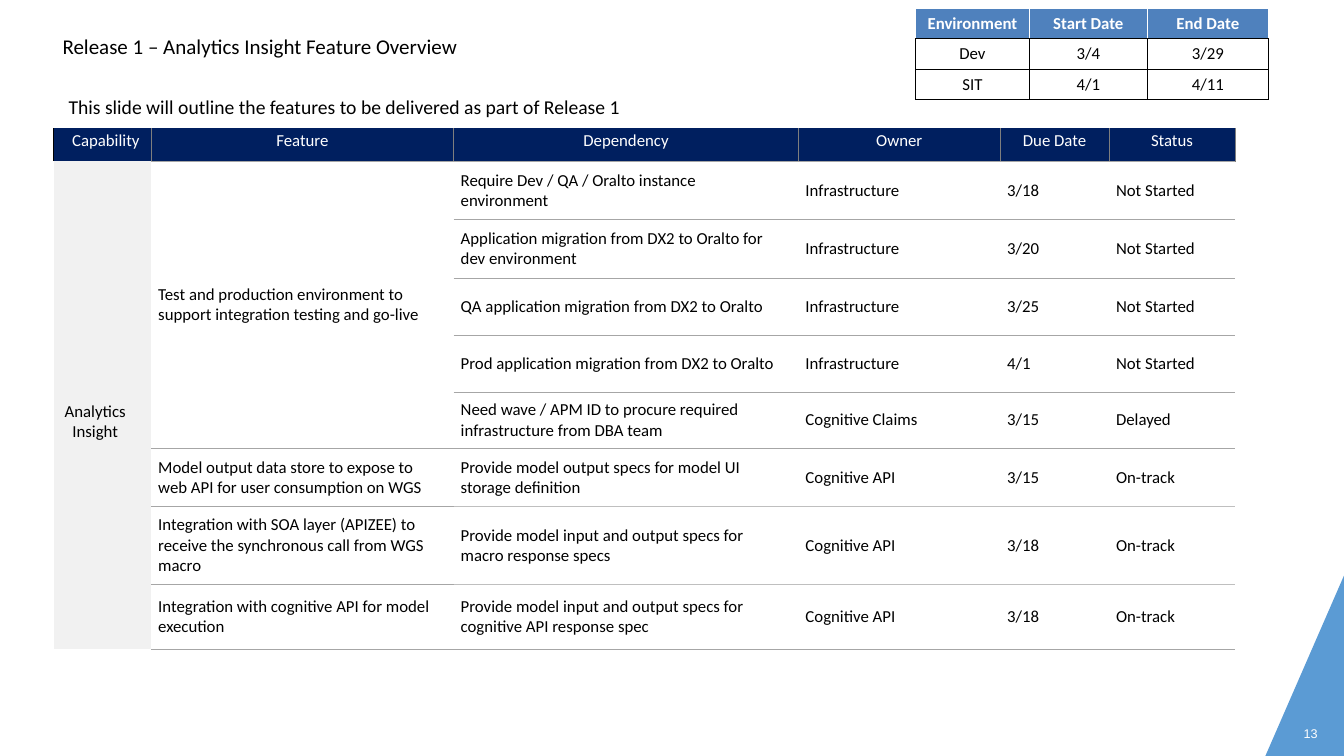
"""Build the Release 1 feature overview slide."""
import pptx
import pptx.dml.color
import pptx.enum.text
import pptx.oxml.ns
import pptx.util
from lxml import etree

Inches = pptx.util.Inches
Align = pptx.enum.text.PP_ALIGN
Anchor = pptx.enum.text.MSO_ANCHOR
THEME = {
    "navy": "001F5F", "blue": "4F81BD", "wedge": "5B9BD4", "pale": "F1F1F1",
    "black": "000000", "white": "FFFFFF", "rule": "A6A6A6", "soft": "BFBFBF",
    "split": "7E7E7E", "title": 15, "lead": 14, "cell": 12, "page": 9,
    "font": "Calibri", "alt": "Arial",
}
PLAIN = "{2D5ABB26-0587-4C30-8999-92F81FD0307C}"


def write(par, text, size, color="black", font="font", bold=False, align=Align.LEFT):
    par.alignment = align
    run = par.add_run()
    run.text = text
    style = {"size": pptx.util.Pt(THEME[size]), "name": THEME[font], "bold": bold}
    for key, value in style.items():
        setattr(run.font, key, value)
    run.font.color.rgb = pptx.dml.color.RGBColor.from_string(THEME[color])


def dress(cell, fill=None, **edges):
    props = cell._tc.get_or_add_tcPr()
    for side in "LRTB":
        if side in edges:
            color, width = edges[side]
            line = etree.SubElement(props, pptx.oxml.ns.qn(f"a:ln{side}"), w=str(pptx.util.Pt(width)))
            solid = etree.SubElement(line, pptx.oxml.ns.qn("a:solidFill"))
            etree.SubElement(solid, pptx.oxml.ns.qn("a:srgbClr"), val=THEME[color])
    if fill:
        cell.fill.solid()
        cell.fill.fore_color.rgb = pptx.dml.color.RGBColor.from_string(THEME[fill])
    else:
        cell.fill.background()


deck = pptx.Presentation()
deck.slide_width, deck.slide_height = Inches(13.33), Inches(7.5)
slide = deck.slides.add_slide(deck.slide_layouts[5])
shapes = slide.shapes

pen = shapes.build_freeform(Inches(13.33), Inches(5.71))
pen.add_line_segments([(Inches(12.55), Inches(7.5)), (Inches(13.33), Inches(7.5))], close=True)
wedge = pen.convert_to_shape()
wedge.shadow.inherit = False
wedge.fill.solid()
wedge.fill.fore_color.rgb = pptx.dml.color.RGBColor.from_string(THEME["wedge"])
wedge.line.fill.background()

page = shapes.add_textbox(Inches(12.9), Inches(7.2), Inches(0.2), Inches(0.17))
title = shapes.title
place = {"left": 0.62, "top": 0.3, "width": 6.62, "height": 0.86}
for key, value in place.items():
    setattr(title, key, Inches(value))
frame = {
    "margin_left": 0, "margin_right": 0, "margin_top": 0, "margin_bottom": 0,
    "word_wrap": True, "vertical_anchor": Anchor.TOP,
    "auto_size": pptx.enum.text.MSO_AUTO_SIZE.NONE,
}
for box in (title, page):
    for key, value in frame.items():
        setattr(box.text_frame, key, value)
title.text_frame.margin_top = Inches(0.03)
page.text_frame.margin_left = Inches(0.03)

write(title.text_frame.paragraphs[0], "Release 1 – Analytics Insight Feature Overview", "title")
lead = title.text_frame.add_paragraph()
lead.space_before = pptx.util.Pt(26)
lead._p.get_or_add_pPr().set("marL", str(Inches(0.06)))
write(lead, "This slide will outline the features to be delivered as part of Release 1", "lead")
write(page.text_frame.paragraphs[0], "13", "page", "white", "alt")

heads = ["Capability", "Feature", "Dependency", "Owner", "Due Date", "Status"]
tasks = [
    ("Analytics Insight", "Test and production environment to support integration testing and go-live",
     "Require Dev / QA / Oralto instance environment", "Infrastructure", "3/18", "Not Started"),
    ("", "", "Application migration from DX2 to Oralto for dev environment",
     "Infrastructure", "3/20", "Not Started"),
    ("", "", "QA application migration from DX2 to Oralto", "Infrastructure", "3/25", "Not Started"),
    ("", "", "Prod application migration from DX2 to Oralto", "Infrastructure", "4/1", "Not Started"),
    ("", "", "Need wave / APM ID to procure required infrastructure from DBA team",
     "Cognitive Claims", "3/15", "Delayed"),
    ("", "Model output data store to expose to web API for user consumption on WGS",
     "Provide model output specs for model UI storage definition", "Cognitive API", "3/15", "On-track"),
    ("", "Integration with SOA layer (APIZEE) to receive the synchronous call from WGS macro",
     "Provide model input and output specs for macro response specs", "Cognitive API", "3/18", "On-track"),
    ("", "Integration with cognitive API for model execution",
     "Provide model input and output specs for cognitive API response spec",
     "Cognitive API", "3/18", "On-track"),
]
dates = [("Environment", "Start Date", "End Date"), ("Dev", "3/4", "3/29"), ("SIT", "4/1", "4/11")]

plan = shapes.add_table(9, 6, Inches(0.53), Inches(1.27), Inches(11.72), Inches(5.17))
dated = shapes.add_table(3, 3, Inches(9.08), Inches(0.08), Inches(3.5), Inches(0.9))
sizes = [
    (plan, [0.97, 3, 3.42, 2, 1.08, 1.25], [0.33, 0.58, 0.58, 0.57, 0.56, 0.56, 0.58, 0.77, 0.64]),
    (dated, [1.13, 1.17, 1.2], [0.3] * 3),
]
for holder, widths, heights in sizes:
    grid = holder.table
    grid.first_row = grid.horz_banding = False
    next(holder.element.iter(pptx.oxml.ns.qn("a:tableStyleId"))).text = PLAIN
    for col, width in zip(grid.columns, widths):
        col.width = Inches(width)
    for row, height in zip(grid.rows, heights):
        row.height = Inches(height)

grid = plan.table
grid.cell(1, 0).merge(grid.cell(8, 0))
grid.cell(1, 1).merge(grid.cell(5, 1))
for r, row in enumerate([heads] + tasks):
    for c, text in enumerate(row):
        cell = grid.cell(r, c)
        if cell.is_spanned:
            continue
        top = r == 0
        pads = {
            "margin_left": 0.07 if c == 0 or not top else 0,
            "margin_right": 0 if top else 0.21,
            "margin_top": 0.03 if top else 0.33 if c == 0 else 0,
            "margin_bottom": 0,
        }
        for key, value in pads.items():
            setattr(cell, key, Inches(value))
        cell.vertical_anchor = Anchor.TOP if top else Anchor.MIDDLE
        write(cell.text_frame.paragraphs[0], text, "cell", "white" if top else "black",
              align=Align.CENTER if top or c == 0 else Align.LEFT)
        if top:
            dress(cell, "navy", L=("split", 0.75) if c else ("black", 1), R=("split", 0.75))
        elif c == 0:
            dress(cell, "pale", L=("white", 1))
        else:
            over = "soft" if c > 1 and r in (7, 8) else "rule"
            under = "soft" if c > 1 and r in (6, 7) else "rule"
            dress(cell, T=(over, 0.75), B=(under, 0.75))

for r, row in enumerate(dates):
    for c, text in enumerate(row):
        cell = dated.table.cell(r, c)
        top = r == 0
        write(cell.text_frame.paragraphs[0], text, "cell", "white" if top else "black",
              bold=top, align=Align.CENTER)
        edges = dict.fromkeys("LRT", ("white", 1) if top else ("black", 0.75))
        if r == 1:
            edges["T"] = ("black", 0.75)
        dress(cell, "blue" if top else None, B=("black", 0.75), **edges)

deck.save("out.pptx")
